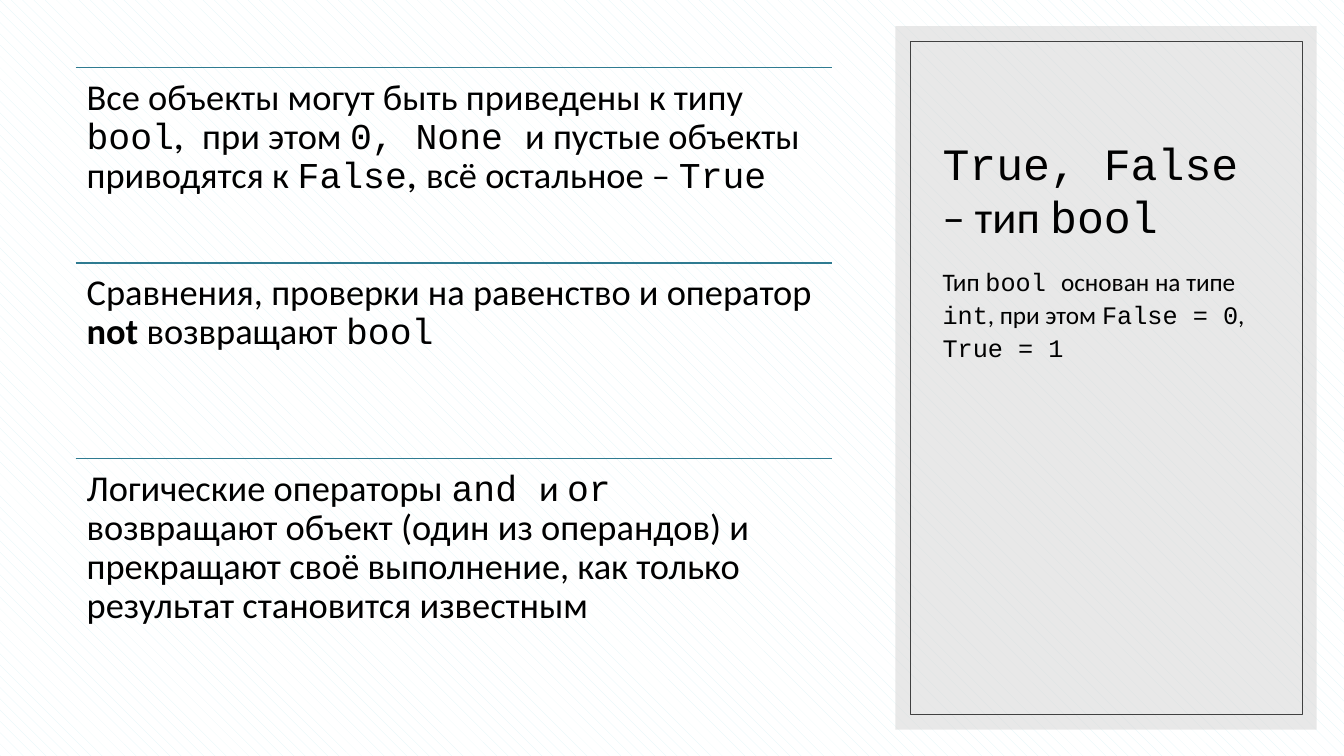
from lxml.etree import SubElement
from pptx import Presentation
from pptx.dml.color import RGBColor
from pptx.enum.dml import MSO_PATTERN
from pptx.enum.shapes import MSO_CONNECTOR, MSO_SHAPE
from pptx.enum.text import MSO_ANCHOR
from pptx.oxml.ns import qn
from pptx.util import Inches, Pt

BLACK = RGBColor(0x00, 0x00, 0x00)
WHITE = RGBColor(0xFF, 0xFF, 0xFF)
PALE_CYAN = RGBColor(0xDE, 0xF4, 0xF7)
PANEL_GRAY = RGBColor(0xD9, 0xD9, 0xD9)
FRAME_GRAY = RGBColor(0x40, 0x40, 0x40)
TEAL = RGBColor(0x2F, 0x7B, 0x91)

TEXT, CODE, ACCENT = "Calibri", "Courier New", "League Spartan"

presentation = Presentation()
presentation.slide_width = Inches(13.33)
presentation.slide_height = Inches(7.5)
slide = presentation.slides.add_slide(presentation.slide_layouts[6])


def add_text(left, top, width, height, size, runs, inset_x=0.1, inset_y=0.05):
    """Add a one-paragraph text box; each run is (text, font[, bold])."""
    frame = slide.shapes.add_textbox(
        Inches(left), Inches(top), Inches(width), Inches(height)).text_frame
    frame.word_wrap = True
    frame.margin_left = frame.margin_right = Inches(inset_x)
    frame.margin_top = frame.margin_bottom = Inches(inset_y)
    paragraph = frame.paragraphs[0]
    for text, font_name, *bold in runs:
        run = paragraph.add_run()
        run.text = text
        run.font.name = font_name
        run.font.size = Pt(size)
        run.font.bold = bool(bold)
        run.font.color.rgb = BLACK
    return frame


# Patterned background
background = slide.background.fill
background.patterned()
background.pattern = MSO_PATTERN.SHINGLE
background.fore_color.rgb = PALE_CYAN
background.back_color.rgb = WHITE

# Side panel: translucent rectangle
panel = slide.shapes.add_shape(
    MSO_SHAPE.RECTANGLE, Inches(8.88), Inches(0.26), Inches(4.18), Inches(6.98))
panel.shadow.inherit = False
panel.fill.solid()
panel.fill.fore_color.rgb = PANEL_GRAY
panel.line.fill.background()
panel_color = panel.fill._xPr.find(qn("a:solidFill"))[0]
SubElement(panel_color, qn("a:alpha")).set("val", "60000")

# Side panel: thin inner frame
border = slide.shapes.add_shape(
    MSO_SHAPE.RECTANGLE, Inches(9.03), Inches(0.41), Inches(3.89), Inches(6.68))
border.shadow.inherit = False
border.fill.background()
border.line.color.rgb = FRAME_GRAY
border.line.width = Pt(0.5)

# Title and explanation
title = add_text(9.25, 0.66, 3.46, 1.8, 32, [
    ("True, False ", CODE), ("– тип ", TEXT), ("bool", CODE)])
title.vertical_anchor = MSO_ANCHOR.BOTTOM

explanation = add_text(9.25, 2.56, 3.46, 3.94, 18, [
    ("Тип ", TEXT), ("bool ", CODE), ("основан на типе ", TEXT),
    ("int", CODE), (", при этом ", TEXT), ("False = 0", CODE),
    (", ", TEXT), ("True = 1", CODE)])
explanation.paragraphs[0].line_spacing = 1.1
explanation.paragraphs[0].space_before = Pt(8)

# Facts, each under its own rule
facts = [
    [("Все объекты могут быть приведены к типу ", TEXT), ("bool", CODE),
     (",  ", ACCENT), ("при этом ", TEXT), ("0, None ", CODE),
     ("и пустые объекты приводятся к ", TEXT), ("False", CODE),
     (", ", ACCENT), ("всё остальное – ", TEXT), ("True", CODE)],
    [("Сравнения, проверки на равенство и оператор ", TEXT),
     ("not", TEXT, True), (" возвращают ", TEXT), ("bool", CODE)],
    [("Логические операторы ", TEXT), ("and ", CODE), ("и ", TEXT),
     ("or ", CODE),
     ("возвращают объект (один из операндов) и прекращают своё выполнение, "
      "как только результат становится известным", TEXT)],
]
FACT_LEFT, FACT_TOP, FACT_WIDTH, FACT_HEIGHT = 0.75, 0.67, 7.5, 1.94

for index, runs in enumerate(facts):
    top = FACT_TOP + index * FACT_HEIGHT
    rule = slide.shapes.add_connector(
        MSO_CONNECTOR.STRAIGHT, Inches(FACT_LEFT), Inches(top),
        Inches(FACT_LEFT + FACT_WIDTH), Inches(top))
    rule.line.color.rgb = TEAL
    rule.line.width = Pt(1)
    SubElement(rule._element.spPr, qn("a:effectLst"))
    fact = add_text(FACT_LEFT, top, FACT_WIDTH, FACT_HEIGHT, 26, runs, 0.11, 0.11)
    fact.paragraphs[0].line_spacing = 0.9

presentation.save("out.pptx")
